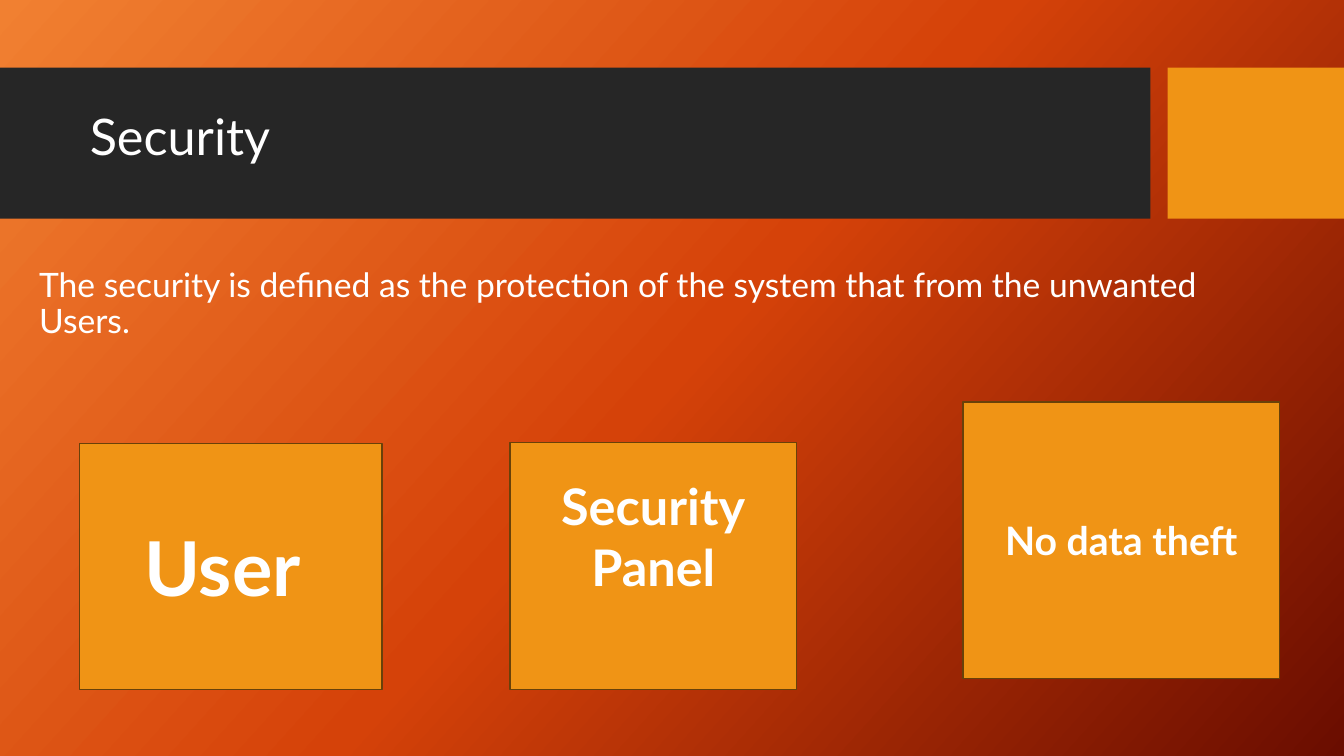
from pptx import Presentation
from pptx.dml.color import RGBColor
from pptx.enum.shapes import MSO_SHAPE
from pptx.enum.text import MSO_ANCHOR, PP_ALIGN
from pptx.oxml import parse_xml
from pptx.oxml.ns import nsdecls
from pptx.util import Inches, Pt

COLORS = {"dark": "262626", "orange": "F09415", "border": "694109", "text": "FFFFFF"}
GRADIENT = [(0, "F18031"), (50, "D54209"), (100, "6A0D00")]
ANGLE = 42
FONT = "Lato"

TITLE = "Security"
DEFINITION = ("The security is defined as the protection of the system "
              "that from the unwanted Users.")
BANDS = [((0, 0.67, 11.41, 1.5), "dark"), ((11.58, 0.67, 1.75, 1.5), "orange")]
BOXES = [
    ((0.79, 4.4, 3, 2.44), ["User "], 54, 0.05),
    ((5.06, 4.39, 2.84, 2.45), ["Security", "Panel"], 36, 0.65),
    ((9.55, 3.99, 3.14, 2.74), ["No data theft"], 28, 0.05),
]


def rgb(name):
    return RGBColor.from_string(COLORS[name])


def set_background(s):
    stops = "".join(f'<a:gs pos="{pos * 1000}"><a:srgbClr val="{color}"/></a:gs>'
                    for pos, color in GRADIENT)
    bg = parse_xml(
        f'<p:bg {nsdecls("p", "a")}><p:bgPr><a:gradFill rotWithShape="1">'
        f'<a:gsLst>{stops}</a:gsLst><a:lin ang="{ANGLE * 60000}" scaled="0"/>'
        '</a:gradFill><a:effectLst/></p:bgPr></p:bg>')
    s.element.cSld.insert(0, bg)


def add_rect(s, box, color):
    sp = s.shapes.add_shape(MSO_SHAPE.RECTANGLE, *map(Inches, box))
    sp.shadow.inherit = False
    sp.fill.solid()
    sp.fill.fore_color.rgb = rgb(color)
    sp.line.fill.background()
    return sp


def write(sp, lines, size, align, bold=False, spacing=1.0, bottom=0.05):
    tf = sp.text_frame
    tf.word_wrap = True
    tf.vertical_anchor = MSO_ANCHOR.MIDDLE
    tf.margin_bottom = Inches(bottom)
    for i, line in enumerate(lines):
        p = tf.add_paragraph() if i else tf.paragraphs[0]
        p.alignment = align
        p.line_spacing = spacing
        r = p.add_run()
        r.text = line
        r.font.name = FONT
        r.font.size = Pt(size)
        r.font.bold = bold
        r.font.color.rgb = rgb("text")


def main():
    prs = Presentation()
    prs.slide_width, prs.slide_height = Inches(13.33), Inches(7.5)
    s = prs.slides.add_slide(prs.slide_layouts[5])
    set_background(s)

    for box, color in BANDS:
        add_rect(s, box, color)

    title = s.shapes.title
    title.left, title.top, title.width, title.height = map(Inches, (0.79, 0.79, 10.51, 1.18))
    s.shapes.element.append(title.element)
    write(title, [TITLE], 36, PP_ALIGN.LEFT, spacing=0.9)

    body = s.shapes.add_textbox(*map(Inches, (0.29, 2.56, 11.95, 1.18)))
    write(body, [DEFINITION], 24, PP_ALIGN.LEFT, spacing=0.9, bottom=0.3)

    for box, lines, size, bottom in BOXES:
        sp = add_rect(s, box, "orange")
        sp.line.color.rgb = rgb("border")
        sp.line.width = Pt(1)
        write(sp, lines, size, PP_ALIGN.CENTER, bold=True, bottom=bottom)

    prs.save("out.pptx")


if __name__ == "__main__":
    main()
